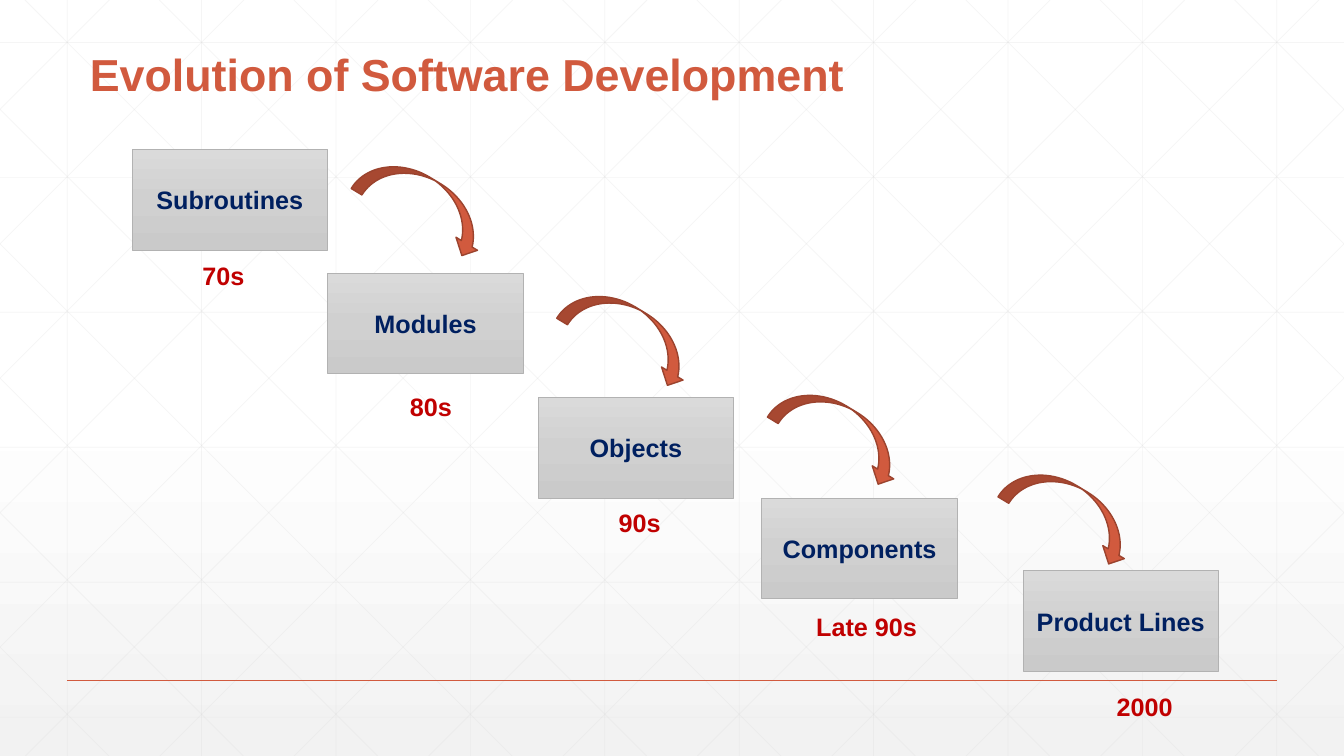
from dataclasses import dataclass

from lxml import etree
from pptx import Presentation
from pptx.dml.color import RGBColor
from pptx.enum.shapes import MSO_CONNECTOR, MSO_SHAPE
from pptx.enum.text import MSO_ANCHOR, MSO_AUTO_SIZE, PP_ALIGN
from pptx.oxml.ns import qn
from pptx.util import Cm, Pt

STRAIGHT = MSO_CONNECTOR.STRAIGHT
RECTANGLE, CURVED_ARROW = MSO_SHAPE.RECTANGLE, MSO_SHAPE.CURVED_DOWN_ARROW
LEFT, CENTER = PP_ALIGN.LEFT, PP_ALIGN.CENTER
TOP, MIDDLE, BOTTOM = MSO_ANCHOR.TOP, MSO_ANCHOR.MIDDLE, MSO_ANCHOR.BOTTOM
NO_FIT, GROW = MSO_AUTO_SIZE.NONE, MSO_AUTO_SIZE.SHAPE_TO_FIT_TEXT


@dataclass(frozen=True)
class Theme:
    font: str = "Arial"
    accent: str = "D15A3E"
    arrow_edge: str = "9B432E"
    stage_text: str = "002060"
    era_text: str = "C00000"
    stage_edge: str = "B2B2B2"
    grid: str = "D9D9D9"
    grid_opacity: int = 25
    page_stops: tuple = ((0, "FFFFFF"), (53, "FFFFFF"), (100, "F2F2F2"))
    stage_stops: tuple = ((0, "DADADA"), (50, "D0D0D0"), (100, "CACACA"))
    title_size: int = 32
    body_size: int = 18


THEME = Theme()
WIDTH, HEIGHT = 33.87, 19.05
GRID_STEP = WIDTH / 10
STAGE_SIZE = (4.93, 2.54)
ARROW_SIZE = (3.58, 1.27)
ARROW_TILT = 31.2
ERA_HEIGHT = 1.02

# name, left and top, era, era offset, era width, offset of the arrow to the next stage
STAGES = [
    ("Subroutines", (3.33, 3.76), "70s", (1.52, 2.67), 1.57, (5.59, 0.74)),
    ("Modules", (8.26, 6.88), "80s", (1.82, 2.85), 1.57, (5.84, 0.89)),
    ("Objects", (13.56, 10.01), "90s", (1.78, 2.66), 1.57, (5.85, 0.25)),
    ("Components", (19.2, 12.55), "Late 90s", (1.12, 2.72), 3.07, (6.02, -0.28)),
    ("Product Lines", (25.78, 14.38), "2000", (2.11, 2.92), 1.93, None),
]


def cm_all(*lengths):
    return [Cm(length) for length in lengths]


def set_all(target, values):
    for name, value in values.items():
        setattr(target, name, value)


def set_gradient(owner, fill, stops):
    """Give the fill of a slide or shape a gradient running from top to bottom."""
    fill.gradient()
    fill.gradient_angle = 270
    stop_list = owner.element.find(".//" + qn("a:gsLst"))
    for stop in list(stop_list):
        stop_list.remove(stop)
    for percent, color in stops:
        stop = etree.SubElement(stop_list, qn("a:gs"), pos=str(percent * 1000))
        etree.SubElement(stop, qn("a:srgbClr"), val=color)


def set_outline(shape, color, width):
    shape.line.color.rgb = RGBColor.from_string(color)
    shape.line.width = Pt(width)


def set_text(shape, text, color, size, frame, align, spacing=None):
    set_all(shape.text_frame, frame)
    para = shape.text_frame.paragraphs[0]
    set_all(para, {"alignment": align, "line_spacing": spacing})
    span = para.add_run()
    span.text = text
    set_all(span.font, {"name": THEME.font, "size": Pt(size), "bold": True})
    span.font.color.rgb = RGBColor.from_string(color)


def add_line(shapes, ends, color, width, opacity=100):
    line = shapes.add_connector(STRAIGHT, *cm_all(*ends))
    set_outline(line, color, width)
    properties = line.element.spPr
    etree.SubElement(properties, qn("a:effectLst"))
    if opacity < 100:
        tint = properties.find(".//" + qn("a:srgbClr"))
        etree.SubElement(tint, qn("a:alpha"), val=str(opacity * 1000))


def add_grid(page, width, height):
    """Draw the upright, level and mirrored diagonal lines behind the slide."""
    lines = []
    for column in range(10):
        x = (column + 0.5) * GRID_STEP
        lines.append((x, 0, x, height))
    for row in range(6):
        y = 1.07 + 3.4 * row
        lines.append((0, y, width, y))
    for index in range(-5, 10):
        offset = 0.63 + index * GRID_STEP
        top, bottom = max(0, -offset), min(height, width - offset)
        start, end = offset + top, offset + bottom
        lines.append((start, top, end, bottom))
        lines.append((width - start, top, width - end, bottom))
    group = page.shapes.add_group_shape()
    for ends in lines:
        add_line(group.shapes, ends, THEME.grid, 0.5, THEME.grid_opacity)


def add_title(page, left, top, width, height):
    title = page.shapes.title
    page.shapes.element.append(title.element)
    set_all(title, dict(zip(("left", "top", "width", "height"),
                            cm_all(left, top, width, height))))
    frame = {"vertical_anchor": BOTTOM, "word_wrap": True, "auto_size": NO_FIT}
    set_text(title, "Evolution of Software Development", THEME.accent,
             THEME.title_size, frame, LEFT, 0.9)


def add_stage(page, left, top, name):
    box = page.shapes.add_shape(RECTANGLE, *cm_all(left, top, *STAGE_SIZE))
    box.shadow.inherit = False
    set_gradient(box, box.fill, THEME.stage_stops)
    set_outline(box, THEME.stage_edge, 0.5)
    frame = {"vertical_anchor": MIDDLE, "word_wrap": True}
    set_text(box, name, THEME.stage_text, THEME.body_size, frame, CENTER)


def add_arrow(page, left, top):
    arrow = page.shapes.add_shape(CURVED_ARROW, *cm_all(left, top, *ARROW_SIZE))
    arrow.rotation = ARROW_TILT
    arrow.shadow.inherit = False
    arrow.fill.solid()
    arrow.fill.fore_color.rgb = RGBColor.from_string(THEME.accent)
    set_outline(arrow, THEME.arrow_edge, 1)


def add_era(page, left, top, width, era):
    label = page.shapes.add_textbox(*cm_all(left, top, width, ERA_HEIGHT))
    frame = {"vertical_anchor": TOP, "word_wrap": False, "auto_size": GROW}
    set_text(label, era, THEME.era_text, THEME.body_size, frame, LEFT)


def add_staircase(page):
    """Place each stage with its era and the arrow leading to the next one."""
    for name, (left, top), era, era_offset, era_width, arrow_offset in STAGES:
        add_stage(page, left, top, name)
        add_era(page, left + era_offset[0], top + era_offset[1], era_width, era)
        if arrow_offset:
            add_arrow(page, left + arrow_offset[0], top + arrow_offset[1])


def main():
    deck = Presentation()
    set_all(deck, {"slide_width": Cm(WIDTH), "slide_height": Cm(HEIGHT)})
    page = deck.slides.add_slide(deck.slide_layouts[5])
    set_gradient(page, page.background.fill, THEME.page_stops)
    add_grid(page, WIDTH, HEIGHT)
    add_line(page.shapes, (1.7, 17.15, WIDTH - 1.7, 17.15), THEME.accent, 1)
    add_title(page, 2.01, -0.51, 26.67, 3.18)
    add_staircase(page)
    deck.save("out.pptx")


if __name__ == "__main__":
    main()
